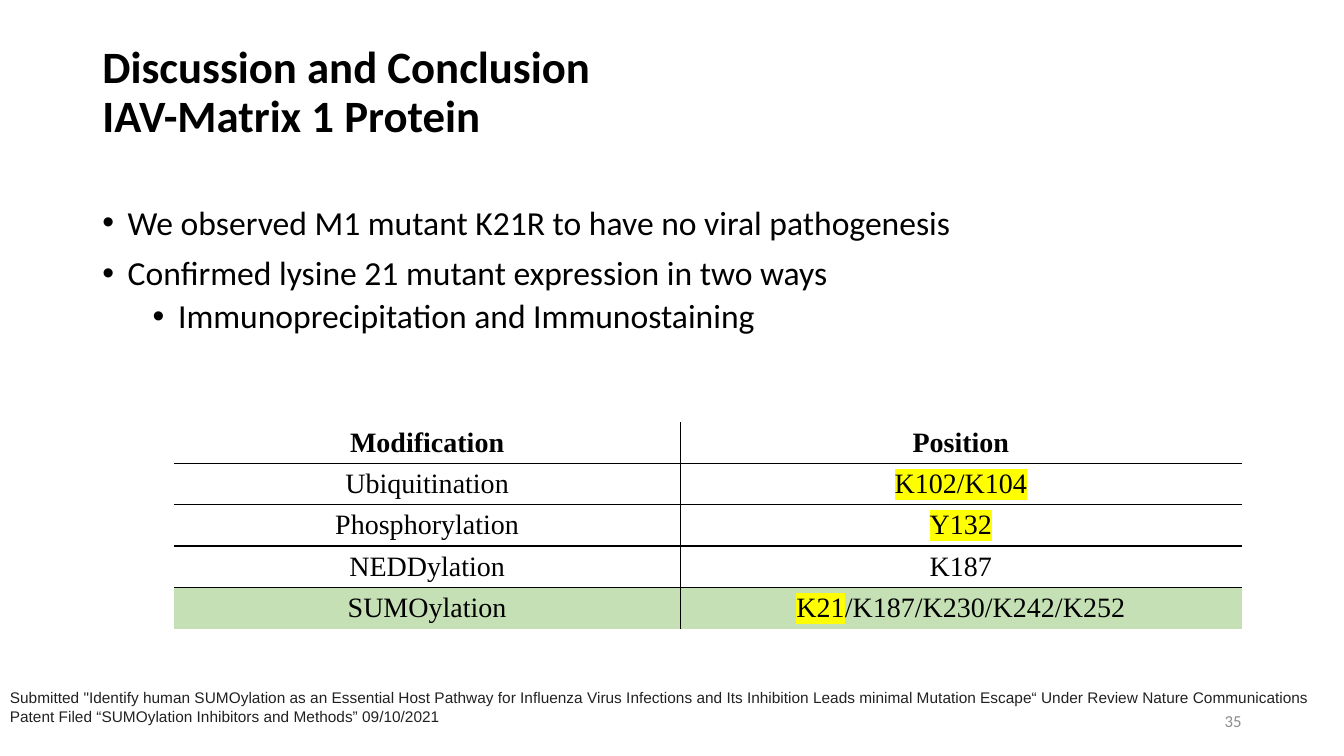
from lxml.etree import SubElement
from pptx import Presentation
from pptx.dml.color import RGBColor
from pptx.enum.text import MSO_ANCHOR as Anchor, PP_ALIGN as Align
from pptx.oxml.ns import qn
from pptx.util import Cm, Pt

BLACK, YELLOW, GREEN = "000000", "FFFF00", "C5E0B4"
TITLE = {"name": "Calibri", "size": Pt(32), "bold": True}
BODY = {"name": "Calibri", "size": Pt(24)}
NUMBER = {"name": "Calibri", "size": Pt(12)}
CITATION = {"name": "Arial", "size": Pt(11)}
CELL = {"name": "Times New Roman", "size": Pt(20), "bold": False}
HEADER = CELL | {"bold": True}

BULLETS = [
    (0, "We observed M1 mutant K21R to have no viral pathogenesis"),
    (0, "Confirmed lysine 21 mutant expression in two ways"),
    (1, "Immunoprecipitation and Immunostaining"),
]
MODIFICATIONS = [
    ("Modification", "", "Position"),
    ("Ubiquitination", "K102/K104", ""),
    ("Phosphorylation", "Y132", ""),
    ("NEDDylation", "", "K187"),
    ("SUMOylation", "K21", "/K187/K230/K242/K252"),
]
CITATIONS = [
    'Submitted "Identify human SUMOylation as an Essential Host Pathway for '
    "Influenza Virus Infections and Its Inhibition Leads minimal Mutation "
    "Escape“ Under Review Nature Communications",
    "Patent Filed “SUMOylation Inhibitors and Methods” 09/10/2021",
]


def paint(target, color):
    """Give a font or fill a solid colour from a hex string."""
    fill = getattr(target, "fill", target)
    fill.solid()
    fill.fore_color.rgb = RGBColor.from_string(color)


def set_format(target, values):
    """Set every attribute named in a dict of format values."""
    for name, value in values.items():
        setattr(target, name, value)


def add_run(paragraph, text, font, color=BLACK, highlight=None):
    """Add a formatted run, optionally highlighted."""
    run = paragraph.add_run()
    run.text = text
    set_format(run.font, font)
    paint(run.font, color)
    if highlight:
        properties = run._r.get_or_add_rPr()
        mark = SubElement(properties, qn("a:highlight"))
        SubElement(mark, qn("a:srgbClr"), val=highlight)
        properties.find(qn("a:solidFill")).addnext(mark)


def add_frame(slide, box, anchor=Anchor.TOP):
    """Add a wrapping text box and return its text frame."""
    frame = slide.shapes.add_textbox(*map(Cm, box)).text_frame
    set_format(frame, {"word_wrap": True, "vertical_anchor": anchor})
    return frame


def add_paragraphs(frame, count):
    """Return the given number of paragraphs in a fresh frame."""
    return [frame.paragraphs[0]] + [frame.add_paragraph() for _ in range(count - 1)]


def add_title(slide, box):
    """Place the two-line title."""
    paragraph = add_frame(slide, box).paragraphs[0]
    paragraph.line_spacing = 0.9
    add_run(paragraph, "Discussion and Conclusion", TITLE)
    paragraph.add_line_break()
    add_run(paragraph, "IAV-Matrix 1 Protein", TITLE)


def add_bullets(slide, box):
    """Place the bulleted findings on two levels."""
    paragraphs = add_paragraphs(add_frame(slide, box), len(BULLETS))
    for index, (paragraph, (level, text)) in enumerate(zip(paragraphs, BULLETS)):
        properties = paragraph._p.get_or_add_pPr()
        properties.set("marL", str(Cm(0.64 + 1.27 * level)))
        properties.set("indent", str(-Cm(0.64)))
        SubElement(properties, qn("a:buFont"), typeface="Arial")
        SubElement(properties, qn("a:buChar"), char="•")
        space = Pt(5 if level else 10) if index else Pt(0)
        set_format(paragraph, {"level": level, "line_spacing": 0.9, "space_before": space})
        add_run(paragraph, text, BODY)


def set_borders(cell, sides):
    """Draw the listed cell sides as thin black lines and clear the rest."""
    properties = cell._tc.get_or_add_tcPr()
    for side in "LRTB":
        line = SubElement(properties, qn(f"a:ln{side}"), w=str(Pt(1)))
        if side in sides:
            color = SubElement(line, qn("a:solidFill"))
            SubElement(color, qn("a:srgbClr"), val=BLACK)
        else:
            SubElement(line, qn("a:noFill"))


def add_modifications(slide, box):
    """Place the table of modifications with inner rules only."""
    last = len(MODIFICATIONS) - 1
    table = slide.shapes.add_table(last + 1, 2, *map(Cm, box)).table
    set_format(table, {"first_row": False, "horz_banding": False})
    for column, share in zip(table.columns, (0.474, 0.526)):
        column.width = Cm(round(box[2] * share, 2))
    for index, (name, marked, plain) in enumerate(MODIFICATIONS):
        table.rows[index].height = Cm(box[3] / (last + 1))
        rules = ("T" if index else "") + ("B" if index < last else "")
        font = CELL if index else HEADER
        for cell, side in zip(table.rows[index].cells, "RL"):
            set_format(cell, {"margin_top": Cm(0.08), "margin_bottom": Cm(0.08),
                              "vertical_anchor": Anchor.MIDDLE})
            set_borders(cell, rules + side)
            if index == last:
                paint(cell, GREEN)
            else:
                cell.fill.background()
            paragraph = cell.text_frame.paragraphs[0]
            paragraph.alignment = Align.CENTER
            parts = [(name, None)] if side == "R" else [(marked, YELLOW), (plain, None)]
            for text, highlight in parts:
                if text:
                    add_run(paragraph, text, font, highlight=highlight)


def add_citations(slide, box):
    """Place the source lines at the foot."""
    paragraphs = add_paragraphs(add_frame(slide, box), len(CITATIONS))
    for paragraph, text in zip(paragraphs, CITATIONS):
        add_run(paragraph, text, CITATION, "222222")


def add_page_number(slide, box):
    """Place the page number at the lower right."""
    paragraph = add_frame(slide, box, Anchor.MIDDLE).paragraphs[0]
    paragraph.alignment = Align.RIGHT
    add_run(paragraph, "35", NUMBER, "8C8C8C")


def main():
    """Build and save the slide."""
    presentation = Presentation()
    set_format(presentation, {"slide_width": Cm(33.87), "slide_height": Cm(19.05)})
    slide = presentation.slides.add_slide(presentation.slide_layouts[6])
    add_title(slide, (2.33, 1.01, 29.21, 3.68))
    add_bullets(slide, (2.33, 5.07, 29.21, 12.09))
    add_page_number(slide, (23.92, 17.66, 7.62, 1.01))
    add_modifications(slide, (4.39, 10.64, 26.9, 5.2))
    add_citations(slide, (0, 17.22, 33.66, 1.19))
    presentation.save("out.pptx")


if __name__ == "__main__":
    main()
